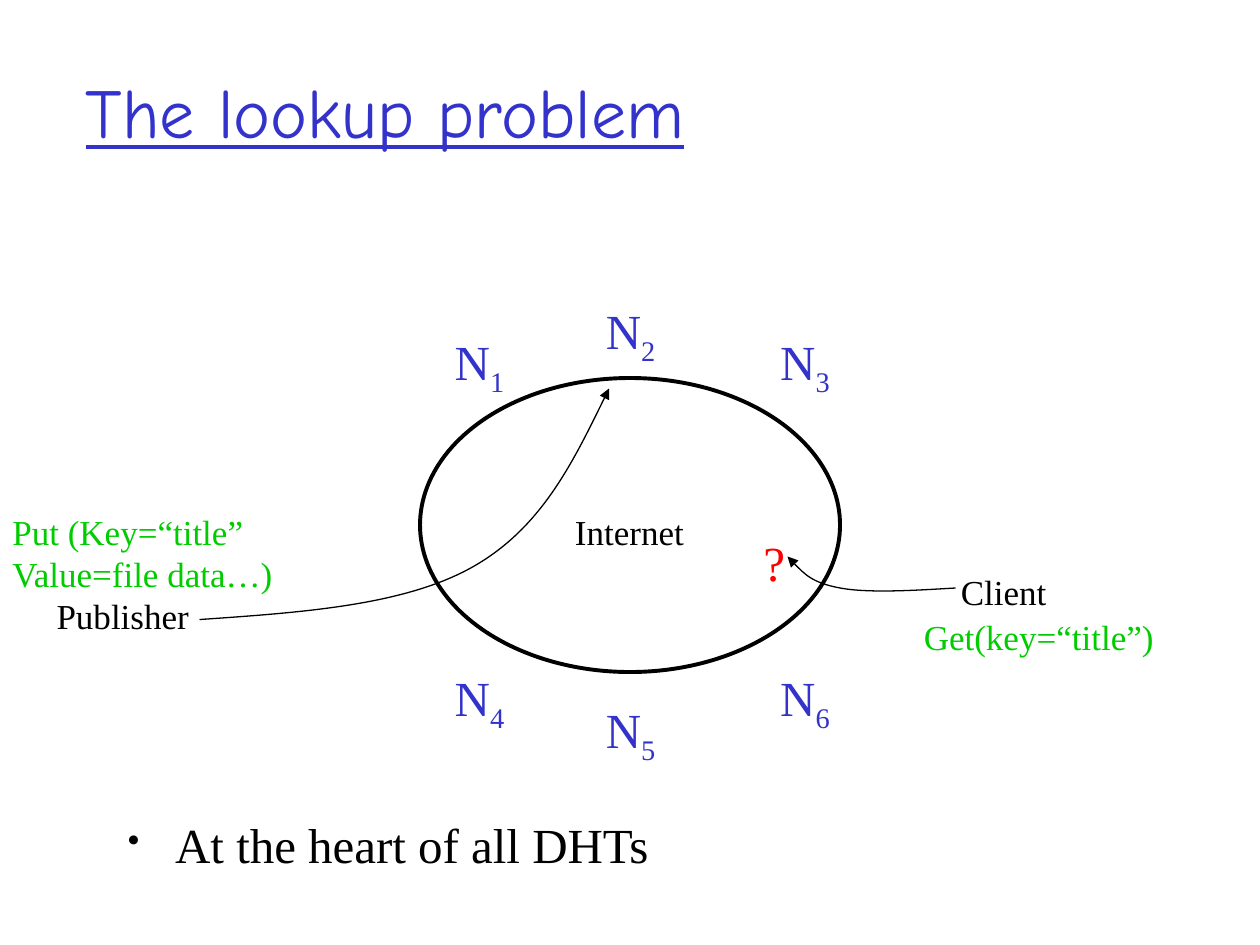
from typing import NamedTuple

import pptx
import pptx.dml.color
import pptx.enum.shapes
import pptx.enum.text
import pptx.oxml
import pptx.oxml.ns
import pptx.util
from lxml import etree

Pt = pptx.util.Pt
Align = pptx.enum.text.PP_ALIGN
Anchor = pptx.enum.text.MSO_ANCHOR
Fit = pptx.enum.text.MSO_AUTO_SIZE
qn = pptx.oxml.ns.qn

BLUE, GREEN, RED, BLACK = "3333CC", "00CC00", "FF0000", "000000"
SERIF = "Times New Roman"


class Box(NamedTuple):
    left: float
    top: float
    width: float
    height: float


class Label(NamedTuple):
    text: str
    box: Box
    color: str = BLACK
    size: float = 20
    align: Align = Align.LEFT


class Curve(NamedTuple):
    """A start point, then cubic bends of two handles and an end."""
    start: tuple
    bends: list


LABELS = [
    Label("Internet", Box(316.8, 288, 85.7, 31), align=Align.CENTER),
    Label("Publisher", Box(25.2, 336, 94.3, 31)),
    Label("Put (Key=“title”\nValue=file data…)", Box(0, 288, 172.8, 55.4), GREEN),
    Label("Client", Box(542, 322.5, 64, 31)),
    Label("Get(key=“title”)", Box(516.2, 348, 154.8, 31), GREEN, align=Align.CENTER),
    Label("?", Box(428.4, 301, 28, 41), RED, 28, Align.CENTER),
]

NODES = {
    "1": (252, 186), "2": (338.4, 168), "3": (438, 186),
    "4": (252, 378), "5": (338.4, 396), "6": (438, 378),
}

CURVES = [
    Curve((546, 336), [
        ((521.5, 337.5), (496, 339), (480, 336)),
        ((464, 333), (457, 325.5), (450, 318)),
    ]),
    Curve((114, 354), [
        ((172.5, 350), (231, 346), (270, 324)),
        ((309, 302), (328.5, 262), (348, 222)),
    ]),
]


def rgb(code: str) -> pptx.dml.color.RGBColor:
    return pptx.dml.color.RGBColor.from_string(code)


def write(slide, text: str, box: Box, *, color=BLUE, size=20, face=SERIF,
          align=Align.LEFT, anchor=Anchor.TOP, wrap=False, under=None,
          sub="", bullet=False):
    """Add a text box; sub is set as a subscript after the text."""
    frame = slide.shapes.add_textbox(*map(Pt, box)).text_frame
    frame.word_wrap = wrap
    frame.auto_size = Fit.NONE if wrap else Fit.SHAPE_TO_FIT_TEXT
    frame.vertical_anchor = anchor
    for i, line in enumerate(text.split("\n")):
        para = frame.paragraphs[0] if i == 0 else frame.add_paragraph()
        para.alignment = align
        if bullet:
            mark(para)
        for piece in filter(None, (line, sub)):
            run = para.add_run()
            run.text = piece
            font = run.font
            font.name, font.size, font.underline = face, Pt(size), under
            font.color.rgb = rgb(color)
            if piece == sub:
                run._r.get_or_add_rPr().set("baseline", "-25000")


def mark(para):
    """Give the paragraph a hanging bullet."""
    props = para._p.get_or_add_pPr()
    props.set("marL", str(Pt(27)))
    props.set("indent", str(-Pt(27)))
    etree.SubElement(props, qn("a:buSzPct")).set("val", "70000")
    etree.SubElement(props, qn("a:buChar")).set("char", "•")


def outline(shape, width: float):
    shape.shadow.inherit = False
    shape.fill.background()
    shape.line.color.rgb = rgb(BLACK)
    shape.line.width = Pt(width)


def draw(slide, curve: Curve):
    """Build the outline through the knots, then bend each segment."""
    build = slide.shapes.build_freeform(*map(Pt, curve.start))
    build.add_line_segments(
        [tuple(map(Pt, bend[-1])) for bend in curve.bends], close=False)
    shape = build.convert_to_shape()
    outline(shape, 0.75)
    lines = list(shape._element.iter(qn("a:lnTo")))
    for line, bend in zip(lines, curve.bends):
        cubic = etree.Element(qn("a:cubicBezTo"))
        for x, y in bend:
            point = etree.SubElement(cubic, qn("a:pt"))
            point.set("x", str(Pt(x) - shape.left))
            point.set("y", str(Pt(y) - shape.top))
        line.getparent().replace(line, cubic)
    tail = etree.SubElement(shape.line._get_or_add_ln(), qn("a:tailEnd"))
    tail.set("type", "triangle")


def main():
    deck = pptx.Presentation()
    deck.slide_width, deck.slide_height = Pt(720), Pt(540)
    slide = deck.slides.add_slide(deck.slide_layouts[6])

    write(slide, "The lookup problem", Box(42, 18, 612, 90), size=40,
          face="Comic Neue", anchor=Anchor.MIDDLE, wrap=True, under=True)
    ring = slide.shapes.add_shape(pptx.enum.shapes.MSO_SHAPE.OVAL,
                                  *map(Pt, Box(240, 216, 240, 168)))
    outline(ring, 2.25)
    for num, (left, top) in NODES.items():
        write(slide, "N", Box(left, top, 44, 41), size=28,
              align=Align.CENTER, sub=num)
    for label in LABELS:
        write(slide, label.text, label.box, color=label.color,
              size=label.size, align=label.align)
    for curve in CURVES:
        draw(slide, curve)
    write(slide, "At the heart of all DHTs", Box(66, 462, 600, 41),
          color=BLACK, size=28, wrap=True, bullet=True)
    deck.save("out.pptx")


if __name__ == "__main__":
    main()
